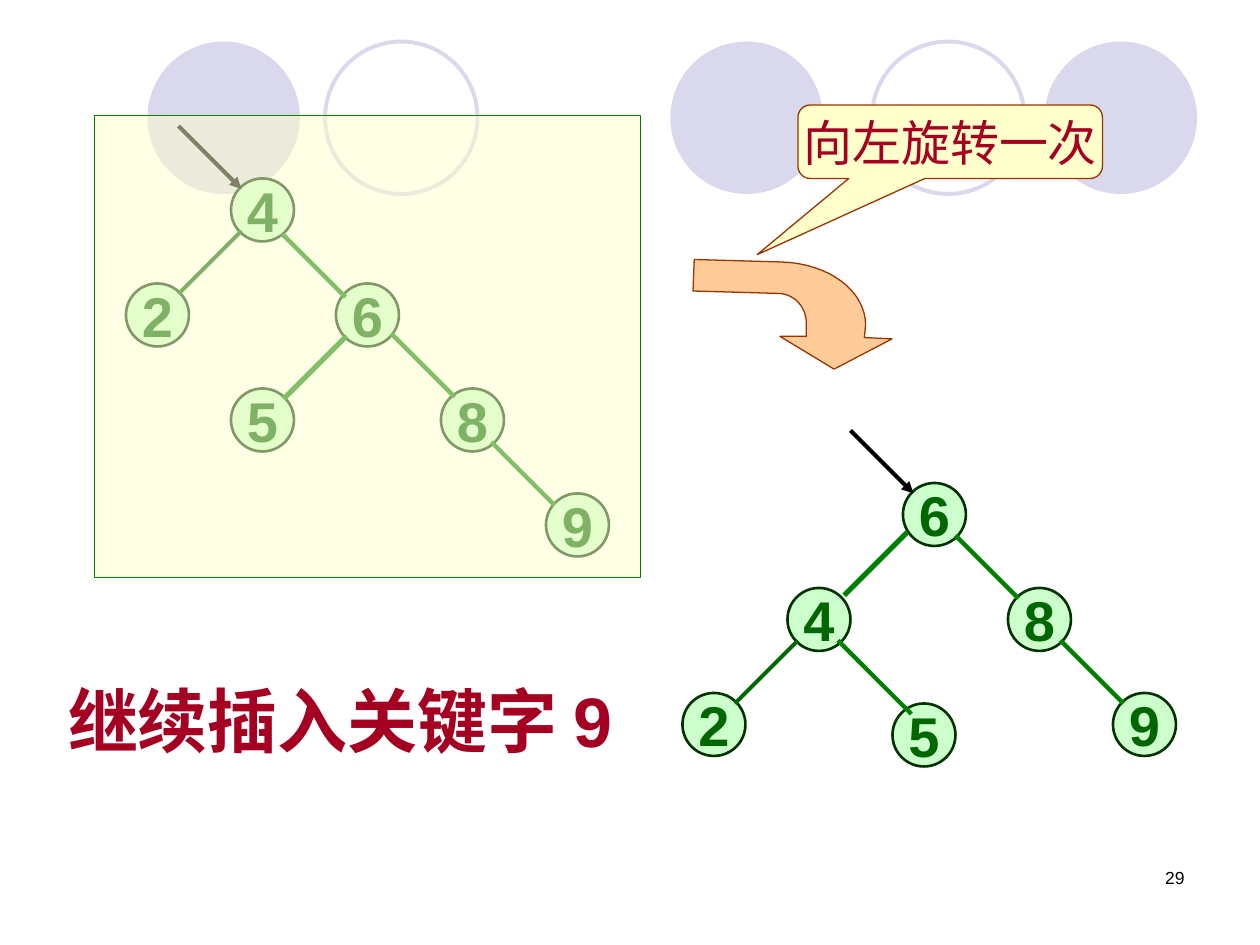
from lxml import etree
from pptx import Presentation
from pptx.dml.color import RGBColor
from pptx.enum.shapes import MSO_CONNECTOR, MSO_SHAPE
from pptx.enum.text import MSO_ANCHOR, MSO_AUTO_SIZE, PP_ALIGN
from pptx.oxml.ns import qn
from pptx.util import Inches, Pt

OVAL, RECT = MSO_SHAPE.OVAL, MSO_SHAPE.RECTANGLE
CALLOUT = MSO_SHAPE.ROUNDED_RECTANGULAR_CALLOUT
LINE = MSO_CONNECTOR.STRAIGHT
TOP, MIDDLE = MSO_ANCHOR.TOP, MSO_ANCHOR.MIDDLE
LEFT, CENTER, RIGHT = PP_ALIGN.LEFT, PP_ALIGN.CENTER, PP_ALIGN.RIGHT


def paint(sp, fill, line, width):
    sp.shadow.inherit = False
    for part, color in ((sp.fill, fill), (sp.line.fill, line)):
        if color:
            part.solid()
            part.fore_color.rgb = RGBColor.from_string(color)
        else:
            part.background()
    if line:
        sp.line.width = Pt(width)


def write(sp, text, size, color, bold, align, anchor, wrap):
    tf = sp.text_frame
    tf.auto_size = MSO_AUTO_SIZE.NONE
    tf.word_wrap = wrap
    tf.vertical_anchor = anchor
    p = tf.paragraphs[0]
    p.alignment = align
    r = p.add_run()
    r.text = text
    r.font.name = "Arial"
    r.font.size = Pt(size)
    r.font.bold = bold
    r.font.color.rgb = RGBColor.from_string(color)


prs = Presentation()
prs.slide_width, prs.slide_height = Inches(10), Inches(7.5)
s = prs.slides.add_slide(prs.slide_layouts[5])
U = prs.slide_width / 120

for x, filled in ((5.32, True), (8.29, True), (1.17, True), (6.92, False), (2.58, False)):
    sp = s.shapes.add_shape(OVAL, Inches(x), Inches(0.33), Inches(1.21), Inches(1.21))
    paint(sp, "D9D8EC" if filled else None, None if filled else "D9D8EC", 2.25)

nodes = [
    ("4", 22, 17), ("2", 12, 27), ("6", 32, 27), ("5", 22, 37), ("8", 42, 37), ("9", 52, 47),
    ("6", 86, 46), ("4", 75, 56), ("2", 65, 66), ("8", 96, 56), ("9", 106, 66), ("5", 85, 67),
]
for key, col, row in nodes:
    sp = s.shapes.add_shape(OVAL, int(col * U), int(row * U), int(6 * U), int(6 * U))
    paint(sp, "CCFFCC", "003300", 1.5)
    write(sp, key, 32, "006600", True, CENTER, MIDDLE, False)

edges = [
    (23, 22, -6, "006600", 2.25), (26.9, 22.3, 6, "008000", 2.5),
    (33, 32, -6, "008000", 3), (37.3, 31.8, 6, "008000", 2.5),
    (46.8, 42.1, 6, "008000", 2.5), (17, 12, 6, "000000", 2.25),
    (76, 61, -6, "006600", 2.25), (86.4, 50.7, -6, "008000", 3),
    (91, 51, 6, "008000", 2.5), (101, 61, 6, "008000", 2.5),
    (79.8, 61, 7, "008000", 2.5), (81, 41, 6, "000000", 2.25),
]
for col, row, run, color, width in edges:
    ends = (col, row, col + run, row + abs(run))
    edge = s.shapes.add_connector(LINE, *(int(v * U) for v in ends))
    edge.line.color.rgb = RGBColor.from_string(color)
    edge.line.width = Pt(width)
    if color == "000000":
        etree.SubElement(edge.line._get_or_add_ln(), qn("a:tailEnd"), type="triangle")
    etree.SubElement(edge._element.spPr, qn("a:effectLst"))

turn = [
    [(6.62, 2.93)], [(7.08, 2.69)], [(6.86, 2.68)], [(6.87, 2.58)],
    [(6.87, 2.58), (6.87, 2.31), (6.58, 2.09), (6.2, 2.08)],
    [(5.51, 2.06)], [(5.5, 2.31)], [(6.19, 2.33)],
    [(6.19, 2.33), (6.31, 2.34), (6.4, 2.44), (6.4, 2.57)],
    [(6.4, 2.67)], [(6.19, 2.67)],
]
pts = []
for seg in turn:
    if len(seg) == 1:
        pts += seg
        continue
    for t in (i / 16 for i in range(1, 17)):
        weights = ((1 - t) ** 3, 3 * t * (1 - t) ** 2, 3 * t * t * (1 - t), t ** 3)
        pts.append(tuple(sum(w * q[axis] for w, q in zip(weights, seg)) for axis in (0, 1)))
pts = [(Inches(x), Inches(y)) for x, y in pts]
fb = s.shapes.build_freeform(*pts[0])
fb.add_line_segments(pts[1:], close=True)
paint(fb.convert_to_shape(), "FFCC99", "993300", 0.75)

sp = s.shapes.add_shape(CALLOUT, int(76 * U), int(10 * U), int(29 * U), int(7 * U))
for i, value in enumerate((-0.634, 1.536, 0.167)):
    sp.adjustments[i] = value
paint(sp, "FFFFCC", "993300", 0.75)
write(sp, "向左旋转一次", 28, "A50021", False, CENTER, MIDDLE, False)

title = s.shapes.title
title.left, title.top, title.width, title.height = (Inches(v) for v in (0.44, 5.33, 4.64, 1.44))
write(title, "继续插入关键字 9", 40, "A50021", True, LEFT, TOP, True)

veil = s.shapes.add_shape(RECT, int(9 * U), int(11 * U), int(52 * U), int(44 * U))
paint(veil, "FFFFCC", "008000", 0.75)
color = veil._element.spPr.find(qn("a:solidFill"))[0]
etree.SubElement(color, qn("a:alpha"), val="50000")

number = s.shapes.add_textbox(int(86 * U), int(82 * U), int(28 * U), int(6 * U))
write(number, "29", 10, "000000", False, RIGHT, TOP, True)

prs.save("out.pptx")
